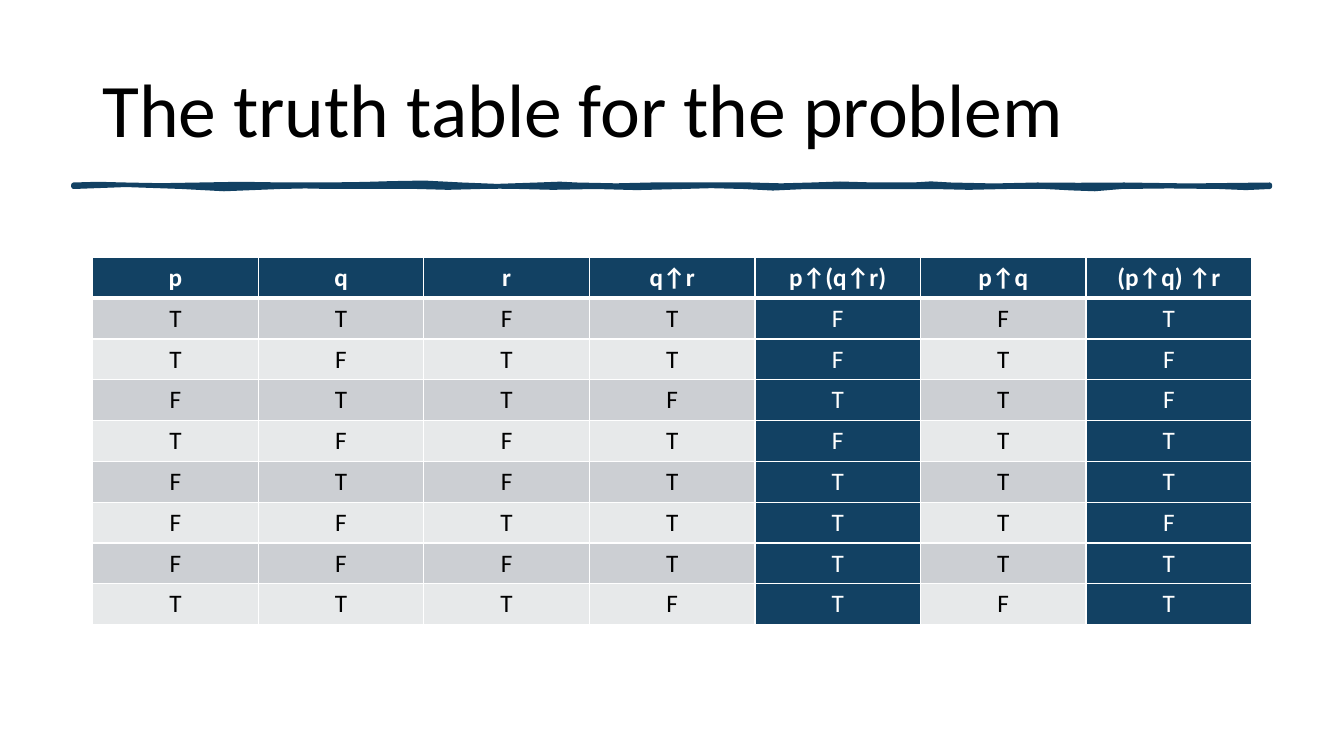
"""Build a slide with the truth table of the NAND problem."""
import pptx
import pptx.util
import pptx.dml.color
import pptx.enum.text
import pptx.oxml
import pptx.oxml.ns

Pt = pptx.util.Pt
RGBColor = pptx.dml.color.RGBColor
NAVY = RGBColor(0x12, 0x41, 0x63)
DARK = RGBColor(0xCC, 0xCF, 0xD3)
LIGHT = RGBColor(0xE7, 0xE9, 0xEA)
WHITE = RGBColor(0xFF, 0xFF, 0xFF)
BLACK = RGBColor(0, 0, 0)
FONT = "Calibri"


def style(par, size, color, bold=False):
    """Format every run of a paragraph."""
    for run in par.runs:
        run.font.name = FONT
        run.font.size = Pt(size)
        run.font.bold = bold
        run.font.color.rgb = color


def border(cell, side, width):
    """Give one side of a cell a white line."""
    line = pptx.oxml.parse_xml(
        f'<a:{side} {pptx.oxml.ns.nsdecls("a")} w="{Pt(width)}">'
        f'<a:solidFill><a:srgbClr val="{WHITE}"/></a:solidFill></a:{side}>')
    cell._tc.get_or_add_tcPr().append(line)


deck = pptx.Presentation()
deck.slide_width = Pt(960)
deck.slide_height = Pt(540)
slide = deck.slides.add_slide(deck.slide_layouts[6])

title = slide.shapes.add_textbox(Pt(66), Pt(28.8), Pt(828), Pt(104.4))
frame = title.text_frame
frame.word_wrap = True
frame.vertical_anchor = pptx.enum.text.MSO_ANCHOR.MIDDLE
frame.text = "The truth table for the problem"
frame.paragraphs[0].line_spacing = 0.9
style(frame.paragraphs[0], 54, BLACK)

upper = [(52.5, 132), (70, 131.5), (89, 132), (115, 132.5), (143, 132),
         (172, 131.5), (204, 132), (232, 132), (260, 131.6), (280, 131),
         (303, 130.6), (330, 132), (355, 133), (384, 132), (400, 131.4),
         (412, 132), (440, 132.6), (465, 132), (500, 132), (536, 132),
         (558, 132.6), (580, 132), (600, 131.3), (625, 132), (652, 132),
         (665, 131.2), (679, 132), (710, 132.7), (741, 132), (770, 132.2),
         (803, 132), (850, 132.7), (907, 132)]
lower = [(907, 133.4), (890, 134.2), (871, 133.4), (835, 133), (801, 133.4),
         (782, 135), (765, 134.4), (747, 133.4), (719, 133.4), (692, 134),
         (666, 133.4), (621, 133.5), (576, 133.4), (552, 134.5), (531, 133.4),
         (508, 132.8), (487, 133.4), (455, 134.2), (425, 133.4), (395, 134),
         (371, 133.4), (357, 133.2), (343, 133.4), (320, 134), (298, 133.4),
         (268, 133.3), (236, 133.4), (218, 133), (200, 133.4), (160, 135),
         (130, 133.4), (90, 132), (52.5, 133.4)]
wave = [(Pt(x), Pt(y)) for x, y in upper + lower]
pen = slide.shapes.build_freeform(*wave[0])
pen.add_line_segments(wave[1:], close=True)
rule = pen.convert_to_shape()
rule.shadow.inherit = False
rule.fill.solid()
rule.fill.fore_color.rgb = NAVY
rule.line.color.rgb = NAVY
rule.line.width = Pt(3.25)

heads = ["p", "q", "r", "q↑r", "p↑(q↑r)", "p↑q", "(p↑q) ↑r"]
rows = [heads, "TTFTFFT", "TFTTFTF", "FTTFTTF", "TFFTFTT",
        "FTFTTTT", "FFTTTTF", "FFFTTTT", "TTTFTFT"]
results = (4, 6)
grid = slide.shapes.add_table(len(rows), len(heads), Pt(66.2), Pt(183.9),
                              Pt(828), Pt(262.4)).table
grid.horz_banding = False
for row in grid.rows:
    row.height = Pt(29.15)

for i, row in enumerate(rows):
    for j, text in enumerate(row):
        cell = grid.cell(i, j)
        border(cell, "lnL", 1)
        border(cell, "lnR", 1)
        border(cell, "lnT", 3 if i == 1 else 1)
        border(cell, "lnB", 3 if i == 0 else 1)
        strong = i == 0 or j in results
        cell.fill.solid()
        cell.fill.fore_color.rgb = NAVY if strong else DARK if i % 2 else LIGHT
        cell.text_frame.text = text
        par = cell.text_frame.paragraphs[0]
        par.alignment = pptx.enum.text.PP_ALIGN.CENTER
        style(par, 18, WHITE if strong else BLACK, i == 0)

deck.save("out.pptx")
